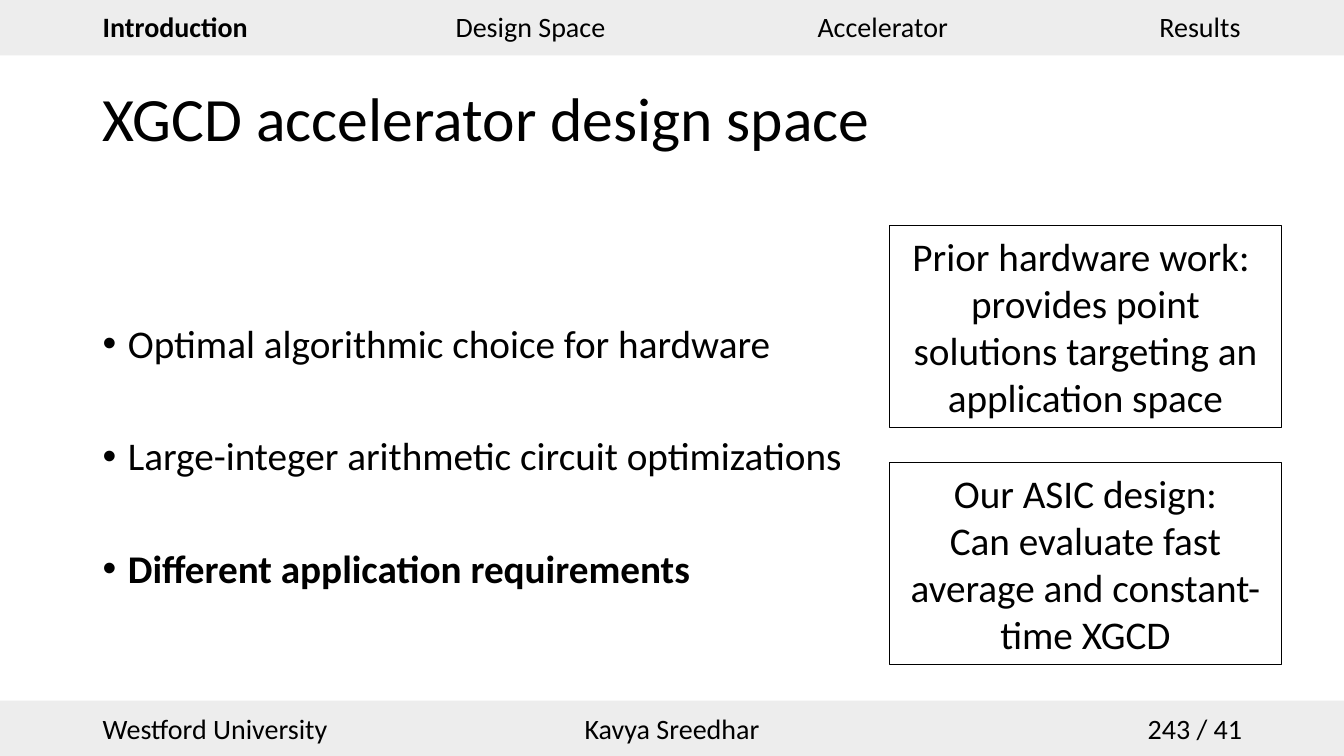
from dataclasses import dataclass

import pptx
import pptx.dml.color
import pptx.enum.shapes
import pptx.enum.text
import pptx.oxml
import pptx.oxml.ns
import pptx.util
from pptx.util import Inches

ALIGN = pptx.enum.text.PP_ALIGN
ANCHOR = pptx.enum.text.MSO_ANCHOR
COLORS = {"text": "000000", "band": "EDEDED", "box": "FFFFFF", "outline": "000000"}
FONT = "Calibri"
SLIDE_WIDTH, SLIDE_HEIGHT = 13.33, 7.5
BAND_HEIGHT = 0.55
LEFT_MARGIN, CONTENT_WIDTH = 0.92, 11.5


@dataclass
class BandLabel:
    text: str
    left: float
    top: float
    width: float
    height: float = 0.44
    align: ALIGN = ALIGN.LEFT
    bold: bool = False
    wrap: bool = False


@dataclass
class SummaryBox:
    top: float
    heading: str
    body: str


NAVIGATION_TOP, FOOTER_TOP = 0.05, 7.01
BAND_LABELS = [
    BandLabel("Westford University", LEFT_MARGIN, FOOTER_TOP, 2.6, wrap=True),
    BandLabel("Kavya Sreedhar", 5.69, FOOTER_TOP, 1.95, align=ALIGN.CENTER),
    BandLabel("243 / 41", 9.42, FOOTER_TOP, 3, align=ALIGN.RIGHT, wrap=True),
    BandLabel("Introduction", LEFT_MARGIN, NAVIGATION_TOP, 1.65, bold=True),
    BandLabel("Design Space", 4.42, NAVIGATION_TOP, 1.7),
    BandLabel("Accelerator", 8.01, NAVIGATION_TOP, 1.51),
    BandLabel("Results", 11.4, NAVIGATION_TOP, 1.02),
]
BULLETS = [
    "Optimal algorithmic choice for hardware",
    "Large-integer arithmetic circuit optimizations",
    "Different application requirements",
]
SUMMARY_BOXES = [
    SummaryBox(2.24, "Prior hardware work: ",
               "provides point solutions targeting an application space"),
    SummaryBox(4.59, "Our ASIC design:",
               "Can evaluate fast average and constant-time XGCD"),
]


def color(name: str) -> pptx.dml.color.RGBColor:
    return pptx.dml.color.RGBColor.from_string(COLORS[name])


def format_paragraph(paragraph, size: float, align: ALIGN = ALIGN.LEFT,
                     bold: bool = False) -> None:
    paragraph.alignment = align
    for run in paragraph.runs:
        run.font.name = FONT
        run.font.size = pptx.util.Pt(size)
        run.font.bold = bold
        run.font.color.rgb = color("text")


def add_rectangle(slide, left: float, top: float, width: float, height: float, fill: str):
    shape = slide.shapes.add_shape(
        pptx.enum.shapes.MSO_SHAPE.RECTANGLE,
        Inches(left), Inches(top), Inches(width), Inches(height))
    shape.shadow.inherit = False
    shape.fill.solid()
    shape.fill.fore_color.rgb = color(fill)
    shape.line.fill.background()
    return shape


def add_band_label(slide, label: BandLabel) -> None:
    shape = slide.shapes.add_textbox(
        Inches(label.left), Inches(label.top), Inches(label.width), Inches(label.height))
    text_frame = shape.text_frame
    text_frame.word_wrap = label.wrap
    text_frame.text = label.text
    format_paragraph(text_frame.paragraphs[0], 20, label.align, label.bold)


def set_title(slide, text: str) -> None:
    title = slide.shapes.title
    title.left, title.top = Inches(LEFT_MARGIN), Inches(0.48)
    title.width, title.height = Inches(CONTENT_WIDTH), Inches(1.45)
    text_frame = title.text_frame
    text_frame.text = text
    text_frame.vertical_anchor = ANCHOR.MIDDLE
    text_frame.auto_size = pptx.enum.text.MSO_AUTO_SIZE.NONE
    text_frame.paragraphs[0].line_spacing = 0.9
    format_paragraph(text_frame.paragraphs[0], 44)


def add_bullets(slide, bullets: list[str]) -> None:
    shape = slide.shapes.add_textbox(
        Inches(LEFT_MARGIN), Inches(2), Inches(CONTENT_WIDTH), Inches(4.76))
    text_frame = shape.text_frame
    text_frame.word_wrap = True
    text_frame.margin_top = Inches(1.22)
    text_frame.text = "\n".join(bullets)
    for index, paragraph in enumerate(text_frame.paragraphs):
        paragraph.line_spacing = 0.9
        paragraph.space_before = pptx.util.Pt(50 if index else 0)
        format_paragraph(paragraph, 28, bold=index == len(bullets) - 1)
        properties = paragraph._p.get_or_add_pPr()
        properties.set("marL", str(Inches(0.25)))
        properties.set("indent", str(-Inches(0.25)))
        namespace = pptx.oxml.ns.nsdecls("a")
        properties.append(pptx.oxml.parse_xml(f'<a:buFont {namespace} typeface="Arial"/>'))
        properties.append(pptx.oxml.parse_xml(f'<a:buChar {namespace} char="•"/>'))


def add_summary_box(slide, box: SummaryBox) -> None:
    shape = add_rectangle(slide, 8.82, box.top, 3.89, 2, "box")
    fill_color = shape._element.spPr.find(
        f"{pptx.oxml.ns.qn('a:solidFill')}/{pptx.oxml.ns.qn('a:srgbClr')}")
    fill_color.append(pptx.oxml.parse_xml(
        f'<a:alpha {pptx.oxml.ns.nsdecls("a")} val="20000"/>'))
    shape.line.color.rgb = color("outline")
    shape.line.width = pptx.util.Pt(1)
    text_frame = shape.text_frame
    text_frame.word_wrap = True
    text_frame.vertical_anchor = ANCHOR.MIDDLE
    text_frame.text = f"{box.heading}\n{box.body}"
    for paragraph in text_frame.paragraphs:
        format_paragraph(paragraph, 28, ALIGN.CENTER)


def main() -> None:
    presentation = pptx.Presentation()
    presentation.slide_width = Inches(SLIDE_WIDTH)
    presentation.slide_height = Inches(SLIDE_HEIGHT)
    slide = presentation.slides.add_slide(presentation.slide_layouts[5])
    for band_top in (SLIDE_HEIGHT - BAND_HEIGHT, 0):
        add_rectangle(slide, 0, band_top, SLIDE_WIDTH, BAND_HEIGHT, "band")
    for label in BAND_LABELS:
        add_band_label(slide, label)
    set_title(slide, "XGCD accelerator design space")
    add_bullets(slide, BULLETS)
    for box in SUMMARY_BOXES:
        add_summary_box(slide, box)
    presentation.save("out.pptx")


if __name__ == "__main__":
    main()
